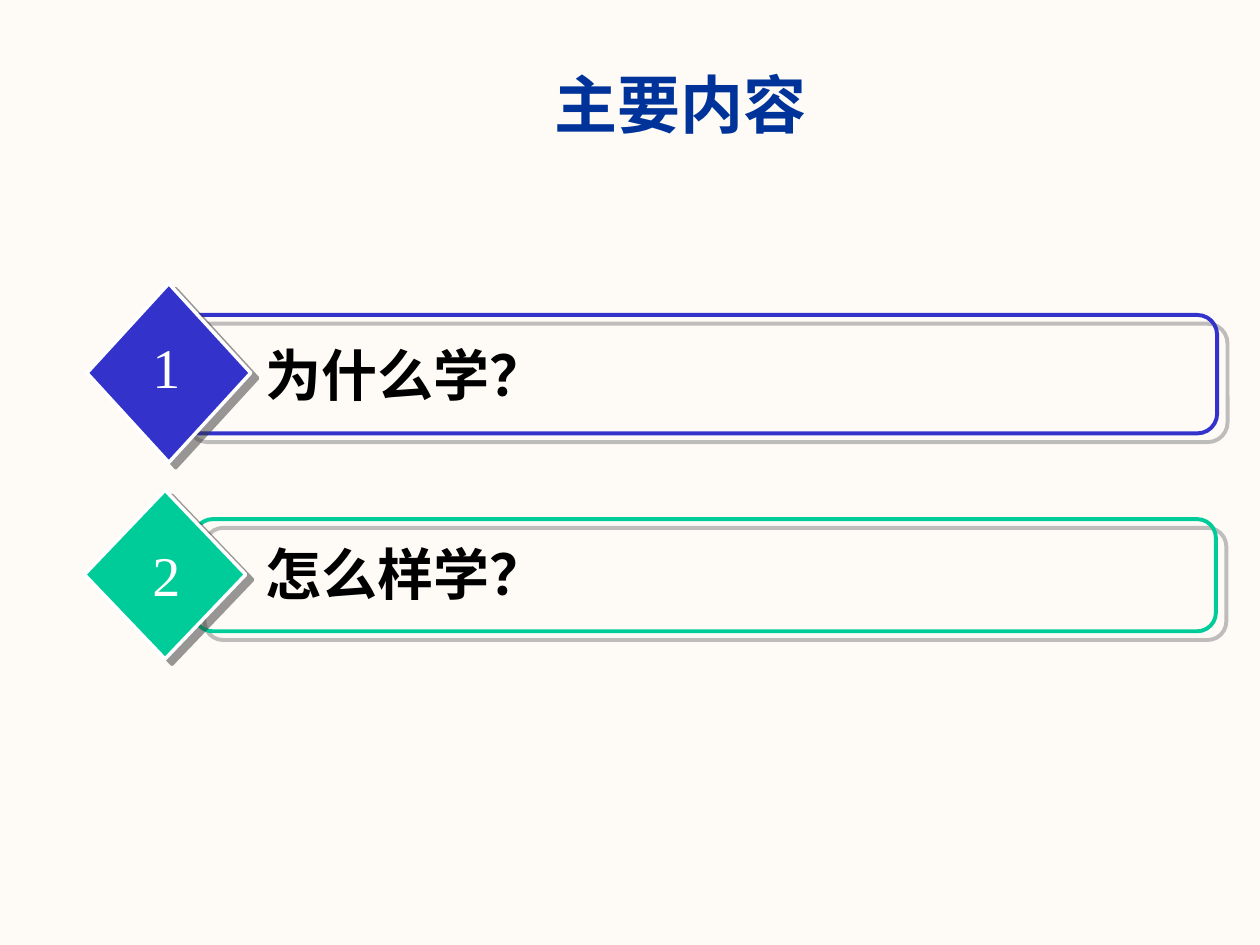
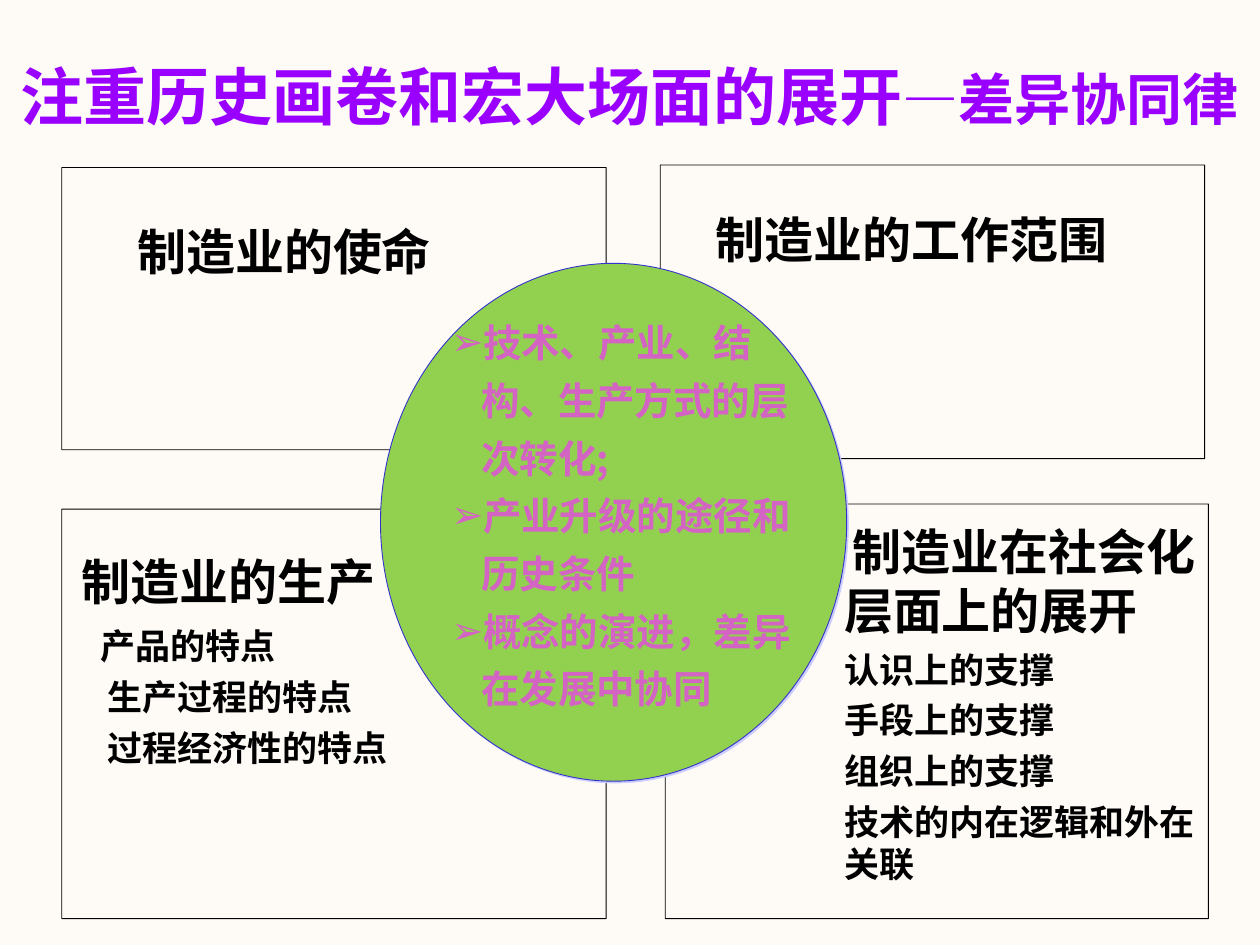
from lxml.etree import SubElement
from pptx import Presentation
from pptx.dml.color import RGBColor
from pptx.enum.shapes import MSO_SHAPE
from pptx.enum.text import MSO_ANCHOR, MSO_AUTO_SIZE, PP_ALIGN
from pptx.oxml.ns import qn
from pptx.util import Pt

PX = 9144  # 100 px to the inch
SANS, SERIF = "Noto Sans CJK SC", "Times New Roman"
PAPER, BLACK, WHITE = "FEFBF7", "000000", "FFFFFF"
BLUE, GREEN = "3333CC", "00CC99"
hue = RGBColor.from_string


def draw(slide, kind, box, fill, line, width, shade):
    """Add a preset shape; shade is colour, opacity %, distance pt, angle."""
    shape = slide.shapes.add_shape(kind, *[v * PX for v in box])
    shape.shadow.inherit = False
    if fill:
        shape.fill.solid()
        shape.fill.fore_color.rgb = hue(fill)
    else:
        shape.fill.background()
    shape.line.color.rgb = hue(line)
    shape.line.width = Pt(width)
    tone, alpha, dist, angle = shade
    glow = SubElement(shape._element.spPr.find(qn("a:effectLst")), qn("a:outerShdw"),
                      blurRad="0", dist=str(int(dist * 12700)), dir=str(angle * 60000),
                      algn="ctr", rotWithShape="0")
    tint = SubElement(glow, qn("a:srgbClr"), val=tone)
    SubElement(tint, qn("a:alpha"), val=str(alpha * 1000))


def write(shape, rows, color, pad=True, left=0, bullet=None, look={}, **frame):
    """Fill a text frame; a row is (first-line indent, format, runs)."""
    text = shape.text_frame
    frame = {"word_wrap": True, "auto_size": MSO_AUTO_SIZE.NONE, **frame}
    if not pad:
        frame.update({f"margin_{side}": 0 for side in ("left", "right", "top", "bottom")})
    for name, value in frame.items():
        setattr(text, name, value)
    for i, (first, extra, runs) in enumerate(rows):
        para = text.add_paragraph() if i else text.paragraphs[0]
        for name, value in {**look, **extra}.items():
            setattr(para, name, value)
        props = para._p.get_or_add_pPr()
        props.set("marL", str(left * PX))
        props.set("indent", str(first * PX))
        props.set("hangingPunct", "0")
        if bullet:
            SubElement(SubElement(props, qn("a:buClr")), qn("a:srgbClr"), val=color)
            SubElement(props, qn("a:buFont"), typeface="Arial")
            SubElement(props, qn("a:buChar"), char=bullet)
        for words, size, bold, latin in runs:
            run = para.add_run()
            run.text = words
            style = {"size": Pt(size), "bold": bold, "name": latin}
            for name, value in style.items():
                setattr(run.font, name, value)
            run.font.color.rgb = hue(color)
            SubElement(run._r.get_or_add_rPr(), qn("a:ea"), typeface=SANS)


deck = Presentation()
deck.slide_width, deck.slide_height = 1000 * PX, 750 * PX
back = deck.slide_master.background.fill
back.solid()
back.fore_color.rgb = hue(PAPER)

# Both slides with their titles
heads = [
    ((169, 28, 742, 108), "003399", [("主要内容", 36, True, "Arial")]),
    ((0, 13, 1000, 125), "9900FF", [("注重历史画卷和宏大场面的展开", 36, True, SANS),
                                    ("—差异协同律", 32, True, SANS)]),
]
slides = []
for box, color, runs in heads:
    slide = deck.slides.add_slide(deck.slide_layouts[5])
    title = slide.shapes.title
    for name, value in zip(("left", "top", "width", "height"), box):
        setattr(title, name, value * PX)
    write(title, [(0, {}, runs)], color, vertical_anchor=MSO_ANCHOR.MIDDLE,
          look={"alignment": PP_ALIGN.CENTER})
    slides.append(slide)
menu, topic = slides

# Menu: outlined bar, numbered diamond and question
items = [
    ("1", "为什么学？", BLUE, (141, 250, 825, 94), (69, 225, 130, 142), 265, 259),
    ("2", "怎么样学？", GREEN, (154, 412, 811, 89), (67, 389, 128, 134), 423, 424),
]
for num, words, color, bar, gem, top, low in items:
    draw(menu, MSO_SHAPE.ROUNDED_RECTANGLE, bar, None, color, 2.25, ("808080", 50, 7.8, 40))
    draw(menu, MSO_SHAPE.DIAMOND, gem, color, WHITE, 2, ("333333", 50, 5, 37))
    label = menu.shapes.add_textbox(201 * PX, top * PX, 775 * PX, 64 * PX)
    write(label, [(0, {}, [(words, 32, True, SERIF)])], BLACK)
    digit = menu.shapes.add_textbox(111 * PX, low * PX, 42 * PX, 64 * PX)
    write(digit, [(0, {}, [(num, 32, False, SERIF)])], WHITE, word_wrap=False,
          look={"alignment": PP_ALIGN.CENTER})

# Four panels, each with a curved notch towards the centre
curve = [(0, 0), (.37, .09), (.68, .3), (.91, .64), (1, 1)]
panels = [  # inner x, outer x, far y, near y, notch x, notch y
    (481, 49, 133, 357, 380, 244),
    (481, 49, 729, 404, 380, 568),
    (524, 956, 131, 364, 624, 247),
    (528, 959, 729, 400, 628, 566),
]
for inner, outer, far, near, cut, notch in panels:
    bend = [(round(inner + a * (cut - inner)), round(notch + b * (near - notch)))
            for a, b in curve]
    path = topic.shapes.build_freeform(inner, far, scale=PX)
    path.add_line_segments([(outer, far), (outer, near)] + bend[::-1], close=True)
    panel = path.convert_to_shape()
    panel.shadow.inherit = False
    panel.fill.background()
    panel.line.color.rgb = hue(BLACK)
    panel.line.width = Pt(0.5)

# Central oval with its bullet list
draw(topic, MSO_SHAPE.OVAL, (302, 209, 370, 411), "92D050", BLUE, 0.5, ("CCCCFF", 100, 1.4, 45))
points = ["技术、产业、结构、生产方式的层次转化;", "产业升级的途径和历史条件",
          "概念的演进，差异在发展中协同"]
core = topic.shapes.add_textbox(358 * PX, 244 * PX, 287 * PX, 321 * PX)
write(core, [(-24, {}, [(point, 22, True, SANS)]) for point in points], "D464C4",
      pad=False, left=24, bullet="➢", look={"line_spacing": 1.25},
      vertical_anchor=MSO_ANCHOR.MIDDLE)

# Panel texts: box, left margin, heading and its indent, lines with indent and gap
notes = [
    ((109, 176, 400, 47), 0, "制造业的使命", 0, []),
    ((568, 166, 400, 47), 0, "制造业的工作范围", 0, []),
    ((65, 438, 332, 174), 20, "制造业的生产", -20,
     [("产品的特点", -5, 8), ("生产过程的特点", 0, 5), ("过程经济性的特点", 0, 5)]),
    ((650, 414, 307, 288), 20, "制造业在社会化层面上的展开", 7,
     [("认识上的支撑", 0, 5), ("手段上的支撑", 0, 5), ("组织上的支撑", 0, 5),
      ("技术的内在逻辑和外在关联", 0, 5)]),
]
for box, left, head, first, lines in notes:
    rows = [(first, {"space_before": Pt(7)}, [(head, 28, True, SERIF)])]
    rows += [(shift, {"space_before": Pt(gap)}, [(line, 20, True, SANS)])
             for line, shift, gap in lines]
    write(topic.shapes.add_textbox(*[v * PX for v in box]), rows, BLACK, pad=False, left=left)

deck.save("out.pptx")
